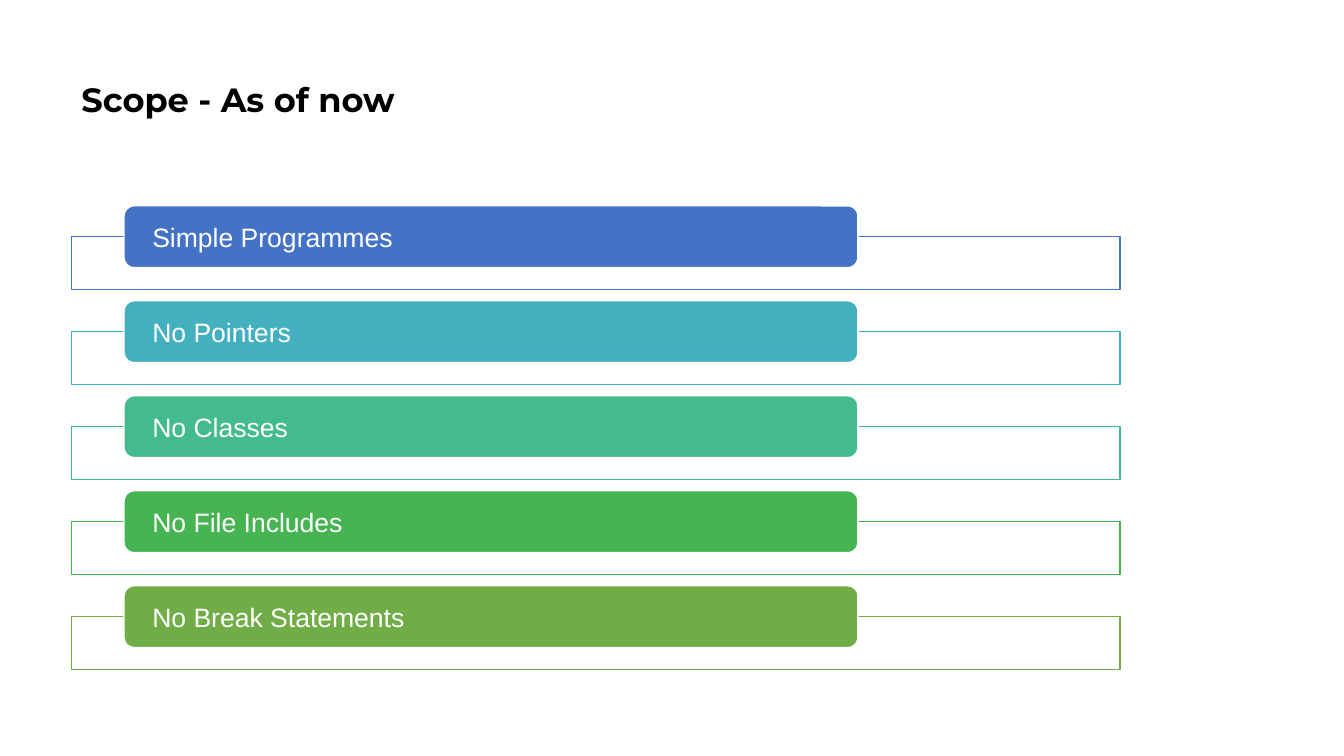
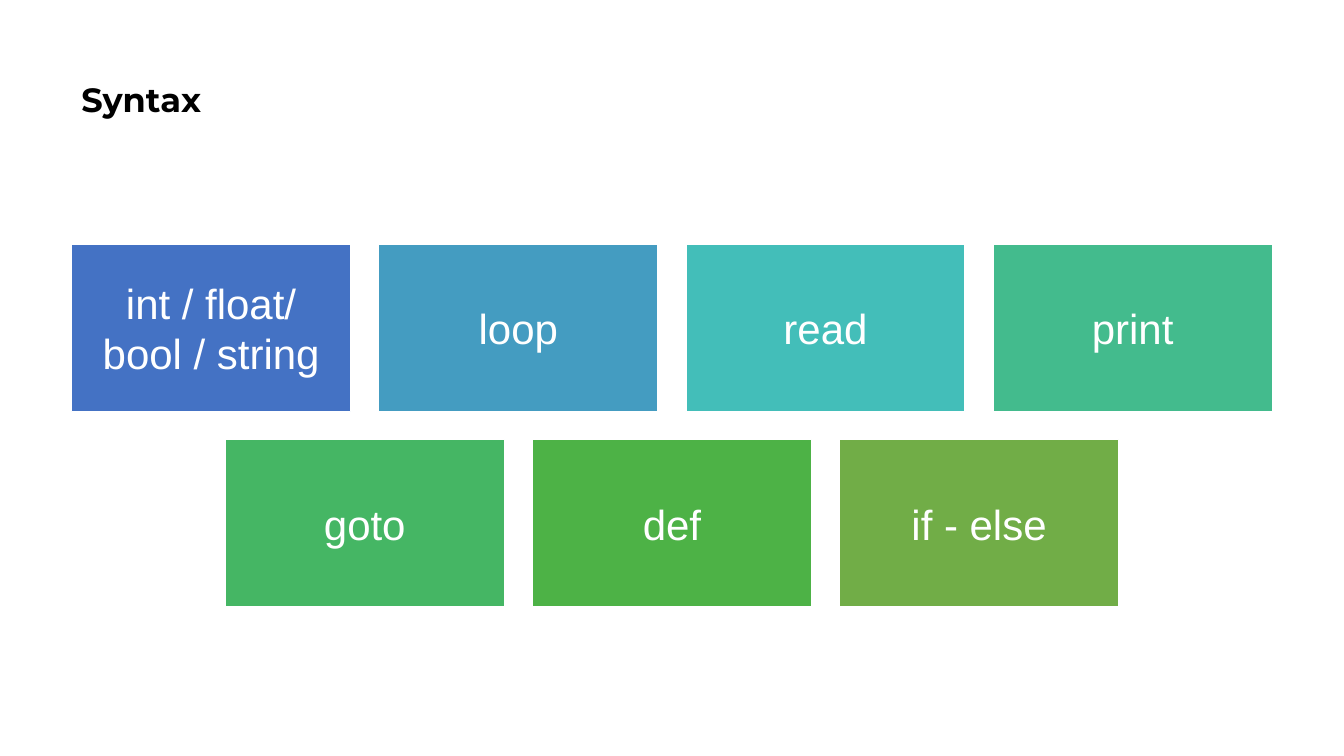
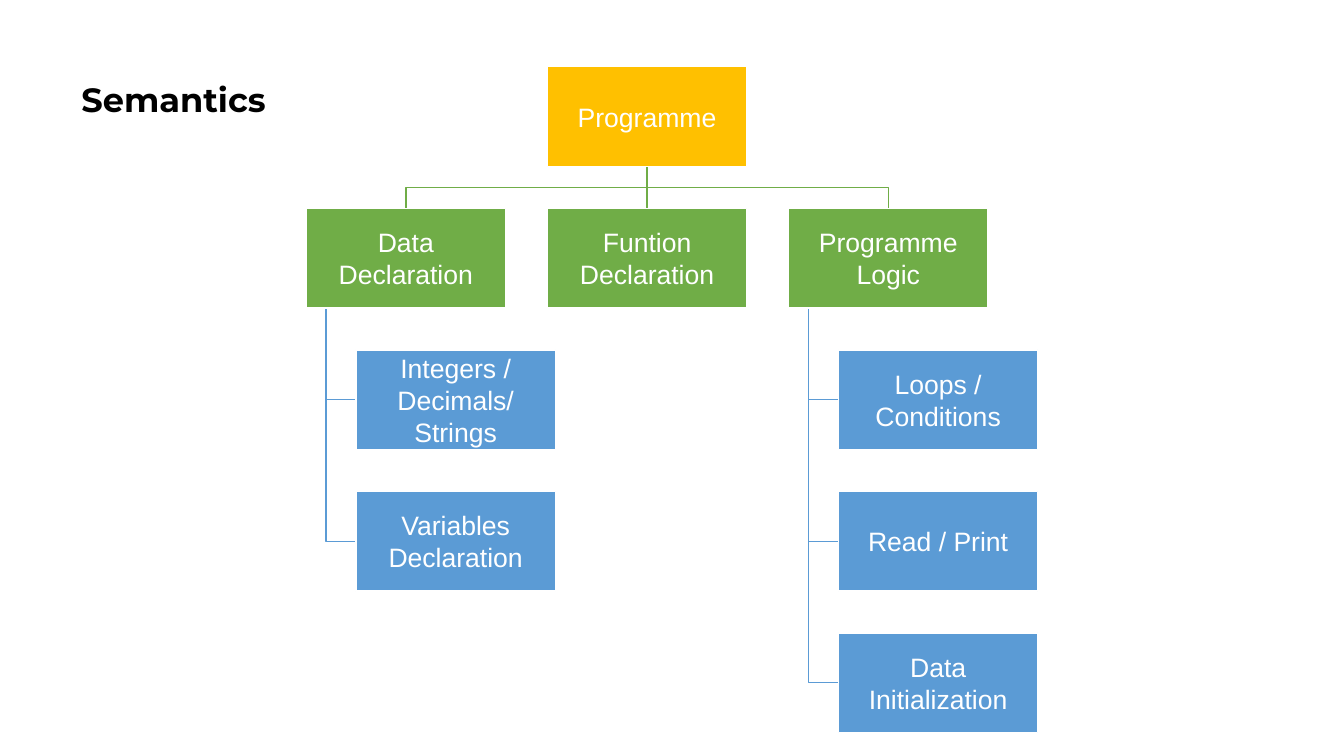
"""Build three slides on the scope, syntax and semantics of a small language."""
from dataclasses import dataclass

from lxml.etree import SubElement
from pptx import Presentation
from pptx.dml.color import RGBColor
from pptx.enum.shapes import MSO_CONNECTOR, MSO_SHAPE
from pptx.enum.text import MSO_ANCHOR, PP_ALIGN
from pptx.oxml.ns import qn
from pptx.util import Pt

COLORS = {
    "black": "000000", "white": "FFFFFF", "royal": "4472C4", "steel": "449CC1",
    "cyan": "43B0C0", "turquoise": "43BEB9", "mint": "43BB8D", "emerald": "45B664",
    "green": "45B451", "leaf": "4DB246", "olive": "71AD47", "gold": "FFC000",
    "branch": "70AD47", "sky": "5B9BD5",
}
TITLE_FONT, BODY_FONT = "Montserrat", "Arial"
SLIDE_W, SLIDE_H = 960, 540
LEFT = 51


@dataclass(frozen=True)
class Item:
    """A labelled box and its colour."""
    text: str
    color: str


@dataclass(frozen=True)
class Rect:
    """A position and size in points."""
    x: float
    y: float
    w: float
    h: float

    def emu(self) -> tuple:
        """Return the four lengths for a drawing call."""
        return Pt(self.x), Pt(self.y), Pt(self.w), Pt(self.h)


@dataclass(frozen=True)
class TextStyle:
    """Size, alignment and insets of a box label."""
    size: float
    align: PP_ALIGN
    inset_x: float
    inset_y: float


@dataclass(frozen=True)
class Branch:
    """A second-level node and its children."""
    text: str
    children: tuple = ()


BAR_TEXT = TextStyle(19, PP_ALIGN.LEFT, 18, 0)
TILE_TEXT = TextStyle(30, PP_ALIGN.CENTER, 8.64, 8.64)
NODE_TEXT = TextStyle(19, PP_ALIGN.CENTER, 0.72, 0.72)

SCOPE = (
    Item("Simple Programmes", "royal"), Item("No Pointers", "cyan"),
    Item("No Classes", "mint"), Item("No File Includes", "green"),
    Item("No Break Statements", "olive"),
)
SYNTAX = (
    (Item("int / float/ bool / string", "royal"), Item("loop", "steel"),
     Item("read", "turquoise"), Item("print", "mint")),
    (Item("goto", "emerald"), Item("def", "leaf"), Item("if - else", "olive")),
)
SEMANTICS = (
    Branch("Data Declaration", ("Integers / Decimals/ Strings", "Variables Declaration")),
    Branch("Funtion Declaration"),
    Branch("Programme Logic", ("Loops / Conditions", "Read / Print", "Data Initialization")),
)


def rgb(name: str) -> RGBColor:
    """Look up a named colour."""
    return RGBColor.from_string(COLORS[name])


def add_titled_slide(prs, title: str):
    """Add a slide with the shared title style."""
    s = prs.slides.add_slide(prs.slide_layouts[5])
    sp = s.shapes.title
    sp.left, sp.top, sp.width, sp.height = Rect(LEFT, 20.2, 828, 104.4).emu()
    tf = sp.text_frame
    tf.text = title
    tf.vertical_anchor = MSO_ANCHOR.MIDDLE
    p = tf.paragraphs[0]
    p.alignment, p.line_spacing = PP_ALIGN.LEFT, 0.9
    p.font.name, p.font.size, p.font.bold = TITLE_FONT, Pt(24), True
    p.font.color.rgb = rgb("black")
    return s


def add_box(s, rect: Rect, fill: str, line: str = "white", kind=MSO_SHAPE.RECTANGLE):
    """Draw a filled and outlined preset shape."""
    sp = s.shapes.add_shape(kind, *rect.emu())
    sp.shadow.inherit = False
    sp.fill.solid()
    sp.fill.fore_color.rgb = rgb(fill)
    sp.line.color.rgb = rgb(line)
    sp.line.width = Pt(1)
    return sp


def add_label(sp, text: str, style: TextStyle) -> None:
    """Write white text into a shape."""
    tf = sp.text_frame
    tf.text = text
    tf.word_wrap = True
    tf.vertical_anchor = MSO_ANCHOR.MIDDLE
    tf.margin_left = tf.margin_right = Pt(style.inset_x)
    tf.margin_top = tf.margin_bottom = Pt(style.inset_y)
    p = tf.paragraphs[0]
    p.alignment = style.align
    p.font.name, p.font.size = BODY_FONT, Pt(style.size)
    p.font.color.rgb = rgb("white")


def add_link(s, points: list, color: str) -> None:
    """Draw a straight link between two points, or a bent one through more."""
    emu = [(Pt(x), Pt(y)) for x, y in points]
    if len(emu) == 2:
        sp = s.shapes.add_connector(MSO_CONNECTOR.STRAIGHT, *emu[0], *emu[1])
        SubElement(sp.element.spPr, qn("a:effectLst"))
    else:
        builder = s.shapes.build_freeform(*emu[0])
        builder.add_line_segments(emu[1:], close=False)
        sp = builder.convert_to_shape()
        sp.fill.background()
        sp.shadow.inherit = False
    sp.line.color.rgb = rgb(color)
    sp.line.width = Pt(1)


def build_scope(prs) -> None:
    """Draw the list of bars over outlined frames."""
    s = add_titled_slide(prs, "Scope - As of now")
    for i, item in enumerate(SCOPE):
        y = 147 + i * 67.85
        frame = add_box(s, Rect(LEFT, y + 22.1, 749, 37.8), "white", item.color)
        color = frame.fill._xPr.find(qn("a:solidFill"))[0]
        SubElement(color, qn("a:alpha"), val="90000")
        bar = add_box(s, Rect(88.6, y, 524.2, 44.2), item.color,
                      kind=MSO_SHAPE.ROUNDED_RECTANGLE)
        add_label(bar, item.text, BAR_TEXT)


def build_syntax(prs) -> None:
    """Draw centred rows of tiles."""
    s = add_titled_slide(prs, "Syntax")
    w, h, gap = 199.4, 119.6, 20
    for row, items in enumerate(SYNTAX):
        x0 = (SLIDE_W - len(items) * (w + gap) + gap) / 2
        for col, item in enumerate(items):
            rect = Rect(x0 + col * (w + gap), 174.4 + row * (h + gap), w, h)
            add_label(add_box(s, rect, item.color), item.text, TILE_TEXT)


def build_semantics(prs) -> None:
    """Draw the programme tree, links behind nodes."""
    s = add_titled_slide(prs, "Semantics")
    w, h, gap = 142.4, 71.2, 29.9
    root = Rect(391, 47.7, w, h)
    center, bottom = root.x + w / 2, root.y + h
    nodes = [(root, Item("Programme", "gold"))]
    for col, branch in enumerate(SEMANTICS):
        x, y = root.x + (col - 1) * (w + gap), bottom + gap
        mid, stem = x + w / 2, x + w / 10
        start, end = (center, bottom), (mid, y)
        bend = [(center, bottom + gap / 2), (mid, bottom + gap / 2)]
        add_link(s, [start, end] if mid == center else [start, *bend, end], "branch")
        nodes.append((Rect(x, y, w, h), Item(branch.text, "branch")))
        for row, text in enumerate(branch.children, 1):
            child = Rect(x + w / 4, y + row * (h + gap), w, h)
            level = child.y + h / 2
            add_link(s, [(stem, y + h), (stem, level), (child.x, level)], "sky")
            nodes.append((child, Item(text, "sky")))
    for rect, item in nodes:
        add_label(add_box(s, rect, item.color), item.text, NODE_TEXT)


def main() -> None:
    """Build and save the presentation."""
    prs = Presentation()
    prs.slide_width, prs.slide_height = Pt(SLIDE_W), Pt(SLIDE_H)
    build_scope(prs)
    build_syntax(prs)
    build_semantics(prs)
    prs.save("out.pptx")


main()
